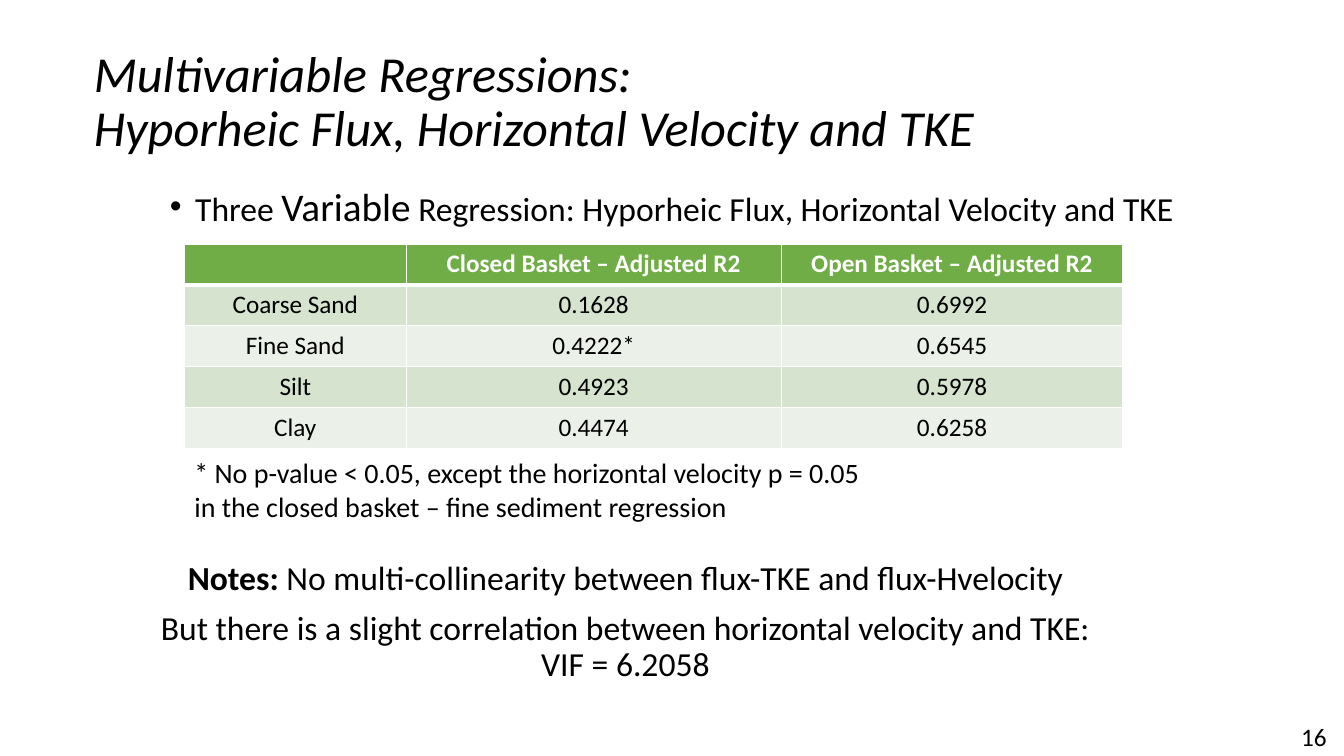
from lxml.etree import SubElement
from pptx import Presentation
from pptx.dml.color import RGBColor
from pptx.enum.text import MSO_ANCHOR, MSO_AUTO_SIZE, PP_ALIGN
from pptx.oxml.ns import qn
from pptx.util import Inches, Pt

COLORS = {
    "text": "000000",
    "white": "FFFFFF",
    "header": "70AD47",
    "band_dark": "D5E3CF",
    "band_light": "EBF1E9",
}
GRID_COLUMNS = 133.33
GRID_ROWS = 75


class RegressionSlide:
    font_name = "Calibri"

    def __init__(self, presentation):
        self.column = presentation.slide_width / GRID_COLUMNS
        self.row = presentation.slide_height / GRID_ROWS
        layout = presentation.slide_layouts.get_by_name("Title and Content")
        self.slide = presentation.slides.add_slide(layout)

    def frame(self, left, top, width, height):
        return (round(left * self.column), round(top * self.row),
                round(width * self.column), round(height * self.row))

    def move(self, placeholder, area):
        (placeholder.left, placeholder.top,
         placeholder.width, placeholder.height) = self.frame(*area)
        return placeholder.text_frame

    def add_run(self, paragraph, text, size, color="text", bold=False, italic=False):
        run = paragraph.add_run()
        run.text = text
        run.font.name = self.font_name
        run.font.size = Pt(size)
        run.font.bold = bold
        run.font.italic = italic
        run.font.color.rgb = RGBColor.from_string(COLORS[color])

    def title(self, area, lines, size):
        text = self.move(self.slide.shapes.title, area)
        text.auto_size = MSO_AUTO_SIZE.NONE
        text.vertical_anchor = MSO_ANCHOR.MIDDLE
        heading = text.paragraphs[0]
        heading.alignment = PP_ALIGN.LEFT
        heading.line_spacing = 0.9
        for index, line in enumerate(lines):
            if index:
                heading.add_line_break()
            self.add_run(heading, line, size, italic=True)

    def bullet(self, area, parts):
        text = self.move(self.slide.placeholders[1], area)
        text.auto_size = MSO_AUTO_SIZE.NONE
        item = text.paragraphs[0]
        properties = item._p.get_or_add_pPr()
        properties.set("marL", str(Inches(0.25)))
        properties.set("indent", str(-Inches(0.25)))
        SubElement(properties, qn("a:buFont"), typeface="Arial")
        SubElement(properties, qn("a:buChar"), char="•")
        item.alignment = PP_ALIGN.CENTER
        item.line_spacing = 0.9
        item.space_before = Pt(0)
        for part, size in parts:
            self.add_run(item, part, size)

    def text(self, area, paragraphs, size, align=PP_ALIGN.LEFT, spacing=1.0):
        text = self.slide.shapes.add_textbox(*self.frame(*area)).text_frame
        text.word_wrap = True
        for index, parts in enumerate(paragraphs):
            paragraph = text.add_paragraph() if index else text.paragraphs[0]
            paragraph.alignment = align
            paragraph.line_spacing = spacing
            paragraph.space_before = Pt(10 if index else 0)
            for part, bold in parts:
                self.add_run(paragraph, part, size, bold=bold)

    def border(self, cell, side, width):
        line = SubElement(cell._tc.get_or_add_tcPr(), qn(f"a:ln{side}"), w=str(Pt(width)))
        fill = SubElement(line, qn("a:solidFill"))
        SubElement(fill, qn("a:srgbClr"), val=COLORS["white"])

    def table(self, area, widths, records, size):
        graphic = self.slide.shapes.add_table(
            len(records), len(widths), *self.frame(*area))
        table = graphic.table
        for column, width in zip(table.columns, widths):
            column.width = round(width * self.column)
        for row_index, record in enumerate(records):
            is_header = row_index == 0
            band = "band_dark" if row_index % 2 else "band_light"
            for column_index, value in enumerate(record):
                cell = table.cell(row_index, column_index)
                thick_side = {0: "B", 1: "T"}.get(row_index)
                for side in "LRTB":
                    self.border(cell, side, 3 if side == thick_side else 1)
                cell.fill.solid()
                cell.fill.fore_color.rgb = RGBColor.from_string(
                    COLORS["header" if is_header else band])
                paragraph = cell.text_frame.paragraphs[0]
                paragraph.alignment = PP_ALIGN.CENTER
                if value:
                    self.add_run(paragraph, value, size,
                                 "white" if is_header else "text", bold=is_header)


def main():
    presentation = Presentation()
    presentation.slide_width = Inches(13.33)
    presentation.slide_height = Inches(7.5)
    slide = RegressionSlide(presentation)

    slide.title((8.3, 6.2, 121.1, 8.1),
                ["Multivariable Regressions: ",
                 "Hyporheic Flux, Horizontal Velocity and TKE"], 36)
    slide.text((128.1, 71.1, 4.7, 4), [[("16", False)]], 18)
    slide.bullet((5.7, 18.1, 121.9, 9.9), [
        ("Three ", 24),
        ("Variable", 28),
        (" Regression: Hyporheic Flux, Horizontal Velocity and TKE", 24),
    ])
    slide.table((18.3, 24.2, 93.1, 20.3), [22, 37.2, 33.9], [
        ("", "Closed Basket – Adjusted R2", "Open Basket – Adjusted R2"),
        ("Coarse Sand", "0.1628", "0.6992"),
        ("Fine Sand", "0.4222*", "0.6545"),
        ("Silt", "0.4923", "0.5978"),
        ("Clay", "0.4474", "0.6258"),
    ], 18)
    slide.text((18.3, 44.7, 68, 7.7), [[
        ("* No p-value < 0.05, except the horizontal velocity p = 0.05 "
         "in the closed basket – fine sediment regression", False),
    ]], 20)
    slide.text((14.5, 55.2, 95.1, 13.6), [
        [("Notes: ", True),
         ("No multi-collinearity between flux-TKE and flux-Hvelocity", False)],
        [("But there is a slight correlation between horizontal velocity "
          "and TKE: VIF = 6.2058", False)],
    ], 24, PP_ALIGN.CENTER, 0.9)

    presentation.save("out.pptx")


if __name__ == "__main__":
    main()
